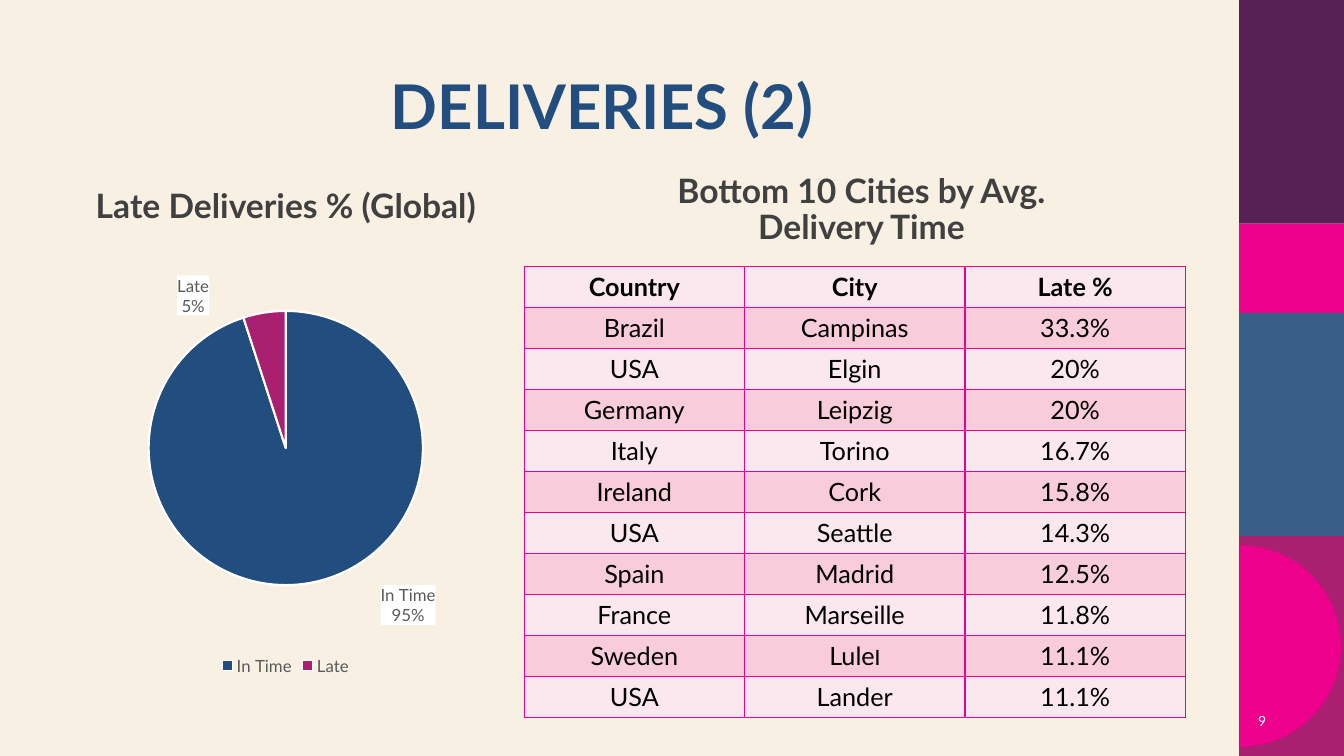
from copy import deepcopy
from dataclasses import dataclass
from math import cos, pi, sin

from lxml import etree
from pptx import Presentation
from pptx.chart.data import CategoryChartData
from pptx.dml.color import RGBColor
from pptx.enum.chart import XL_CHART_TYPE, XL_LABEL_POSITION, XL_LEGEND_POSITION
from pptx.enum.shapes import MSO_SHAPE
from pptx.enum.text import MSO_ANCHOR, PP_ALIGN
from pptx.oxml import parse_xml
from pptx.oxml.ns import nsdecls, qn
from pptx.util import Inches, Pt

RECT = MSO_SHAPE.RECTANGLE
PIE = XL_CHART_TYPE.PIE
OUTSIDE_END = XL_LABEL_POSITION.OUTSIDE_END
LEGEND_BOTTOM = XL_LEGEND_POSITION.BOTTOM
CENTER, RIGHT = PP_ALIGN.CENTER, PP_ALIGN.RIGHT
TOP, MIDDLE = MSO_ANCHOR.TOP, MSO_ANCHOR.MIDDLE
WIDTH, HEIGHT = Inches(13.33), Inches(7.5)


@dataclass(frozen=True)
class Theme:
    font: str = "Lato"
    cream: str = "F8F0E3"
    white: str = "FFFFFF"
    black: str = "000000"
    navy: str = "224E7F"
    steel: str = "385E88"
    plum: str = "582156"
    berry: str = "AA2070"
    pink: str = "EC008C"
    pale: str = "FBE7EE"
    rose: str = "F8CCDA"
    heading_grey: str = "404040"
    label_grey: str = "595959"
    title_size: int = 44
    heading_size: int = 24
    table_size: int = 18
    label_size: int = 12
    number_size: int = 10


@dataclass(frozen=True)
class Box:
    """Left, top, width and height in percent of the slide."""
    x: float
    y: float
    w: float
    h: float

    def emu(self) -> tuple[int, int, int, int]:
        return (int(WIDTH * self.x / 100), int(HEIGHT * self.y / 100),
                int(WIDTH * self.w / 100), int(HEIGHT * self.h / 100))


@dataclass(frozen=True)
class Band:
    height: float
    color: str


@dataclass(frozen=True)
class Label:
    box: Box
    text: str
    size: int
    color: str
    bold: bool = True
    align: PP_ALIGN = CENTER
    anchor: MSO_ANCHOR = TOP
    spacing: float = 0.9


@dataclass(frozen=True)
class Slice:
    name: str
    value: int
    color: str
    label_dx: float
    label_dy: float


T = Theme()
SIDEBAR_X = 92.2
BANDS = [Band(29.6, T.plum), Band(11.8, T.pink), Band(29.5, T.steel), Band(29.1, T.berry)]
TITLE = Label(Box(6.3, 9.47, 77.03, 12.93), "DELIVERIES (2)", T.title_size, T.navy)
LABELS = [
    Label(Box(4.87, 24.4, 32.78, 8.8), "Late Deliveries % (Global)",
          T.heading_size, T.heading_grey),
    Label(Box(44.85, 22.4, 38.48, 8.8), "Bottom 10 Cities by Avg. Delivery Time",
          T.heading_size, T.heading_grey),
    Label(Box(91.2, 92.67, 3.75, 5.33), "9", T.number_size, T.white,
          False, RIGHT, MIDDLE, 1.0),
]
CHART_BOX = Box(-1.2, 33.2, 44.93, 56.67)
SLICES = [Slice("In Time", 95, T.navy, 0.12, -0.01), Slice("Late", 5, T.berry, -0.09, 0.02)]
TABLE_BOX = Box(39, 35.2, 49.2, 59.73)
ROWS = [
    ("Country", "City", "Late %"),
    ("Brazil", "Campinas", "33.3%"),
    ("USA", "Elgin", "20%"),
    ("Germany", "Leipzig", "20%"),
    ("Italy", "Torino", "16.7%"),
    ("Ireland", "Cork", "15.8%"),
    ("USA", "Seattle", "14.3%"),
    ("Spain", "Madrid", "12.5%"),
    ("France", "Marseille", "11.8%"),
    ("Sweden", "Luleו", "11.1%"),
    ("USA", "Lander", "11.1%"),
]


def set_font(font, size: int, color: str, bold: bool = False) -> None:
    font.name, font.size, font.bold = T.font, Pt(size), bold
    font.color.rgb = RGBColor.from_string(color)


def paint(sp, color: str) -> None:
    sp.shadow.inherit = False
    sp.fill.solid()
    sp.fill.fore_color.rgb = RGBColor.from_string(color)
    sp.line.fill.background()


def write_label(sp, label: Label) -> None:
    sp.left, sp.top, sp.width, sp.height = label.box.emu()
    tf = sp.text_frame
    tf.text = label.text
    tf.word_wrap, tf.vertical_anchor = True, label.anchor
    p = tf.paragraphs[0]
    p.alignment, p.line_spacing = label.align, label.spacing
    set_font(p.runs[0].font, label.size, label.color, label.bold)


def add_sidebar(slide) -> None:
    y = 0.0
    for band in BANDS:
        box = Box(SIDEBAR_X, y, 100 - SIDEBAR_X, band.height)
        paint(slide.shapes.add_shape(RECT, *box.emu()), band.color)
        y += band.height
    # Half disc, flat side on the left
    cx, cy, radius, steps = Inches(12.3), Inches(6.41), Inches(1), 90
    arc = [(int(cx + radius * sin(pi * i / steps)), int(cy - radius * cos(pi * i / steps)))
           for i in range(steps + 1)]
    builder = slide.shapes.build_freeform(*arc[0])
    builder.add_line_segments(arc[1:], close=True)
    paint(builder.convert_to_shape(), T.pink)


def manual_layout(**shares: float):
    values = "".join(f'<c:{key} val="{val}"/>' for key, val in shares.items())
    target = '<c:layoutTarget val="inner"/><c:xMode val="edge"/><c:yMode val="edge"/>'
    return parse_xml(f'<c:layout {nsdecls("c")}><c:manualLayout>'
                     f'{target if "w" in shares else ""}{values}</c:manualLayout></c:layout>')


def add_pie(slide) -> None:
    data = CategoryChartData()
    data.categories = [s.name for s in SLICES]
    data.add_series("Series 1", [s.value for s in SLICES])
    chart = slide.shapes.add_chart(PIE, *CHART_BOX.emu(), data).chart
    set_font(chart.font, T.number_size, T.black)
    chart.has_title = False
    chart.has_legend = True
    chart.legend.position = LEGEND_BOTTOM
    chart.legend.include_in_layout = False
    set_font(chart.legend.font, T.label_size, T.label_grey)
    plot = chart.plots[0]
    plot.vary_by_categories = True
    area = plot._element.getparent()
    for old in area.findall(qn("c:layout")):
        area.remove(old)
    area.insert(0, manual_layout(x=0.27, y=0.14, w=0.46, h=0.64))

    # Shared label format: white plate, category above percentage, no leader lines
    series = plot.series[0]
    labels = series.data_labels
    labels.show_value, labels.show_category_name, labels.show_percentage = False, True, True
    labels.number_format, labels.number_format_is_linked = "0%", False
    labels.position = OUTSIDE_END
    set_font(labels.font, T.label_size, T.label_grey)
    root = labels._element
    root.find(qn("c:numFmt")).addnext(parse_xml(
        f'<c:spPr {nsdecls("c", "a")}><a:solidFill><a:srgbClr val="{T.white}"/>'
        '</a:solidFill></c:spPr>'))
    for old in root.findall(qn("c:showLeaderLines")):
        root.remove(old)
    separator = etree.SubElement(root, qn("c:separator"))
    separator.text = "\n"
    shared = list(root)
    etree.SubElement(root, qn("c:showLeaderLines")).set("val", "0")

    # Each slice: its colour and its label's offset
    for i, item in enumerate(SLICES):
        fmt = series.points[i].format
        fmt.fill.solid()
        fmt.fill.fore_color.rgb = RGBColor.from_string(item.color)
        fmt.line.color.rgb = RGBColor.from_string(T.white)
        fmt.line.width = Pt(1.5)
        point_label = parse_xml(f'<c:dLbl {nsdecls("c")}><c:idx val="{i}"/></c:dLbl>')
        point_label.append(manual_layout(x=item.label_dx, y=item.label_dy))
        point_label.extend(deepcopy(shared))
        root.insert(i, point_label)


def add_borders(cell, color: str) -> None:
    props = cell._tc.get_or_add_tcPr()
    for i, side in enumerate(("lnL", "lnR", "lnT", "lnB")):
        props.insert(i, parse_xml(
            f'<a:{side} {nsdecls("a")} w="{Pt(1)}"><a:solidFill>'
            f'<a:srgbClr val="{color}"/></a:solidFill></a:{side}>'))


def add_city_table(slide) -> None:
    table = slide.shapes.add_table(len(ROWS), len(ROWS[0]), *TABLE_BOX.emu()).table
    for i, row in enumerate(ROWS):
        for j, text in enumerate(row):
            cell = table.cell(i, j)
            cell.text = text
            cell.fill.solid()
            cell.fill.fore_color.rgb = RGBColor.from_string(T.rose if i % 2 else T.pale)
            add_borders(cell, T.pink)
            p = cell.text_frame.paragraphs[0]
            p.alignment = CENTER
            set_font(p.runs[0].font, T.table_size, T.black, i == 0)


def main() -> None:
    prs = Presentation()
    prs.slide_width, prs.slide_height = WIDTH, HEIGHT
    slide = prs.slides.add_slide(prs.slide_layouts[5])
    slide.background.fill.solid()
    slide.background.fill.fore_color.rgb = RGBColor.from_string(T.cream)
    add_sidebar(slide)
    write_label(slide.shapes.title, TITLE)
    add_pie(slide)
    add_city_table(slide)
    for label in LABELS:
        write_label(slide.shapes.add_textbox(*label.box.emu()), label)
    prs.save("out.pptx")


if __name__ == "__main__":
    main()
